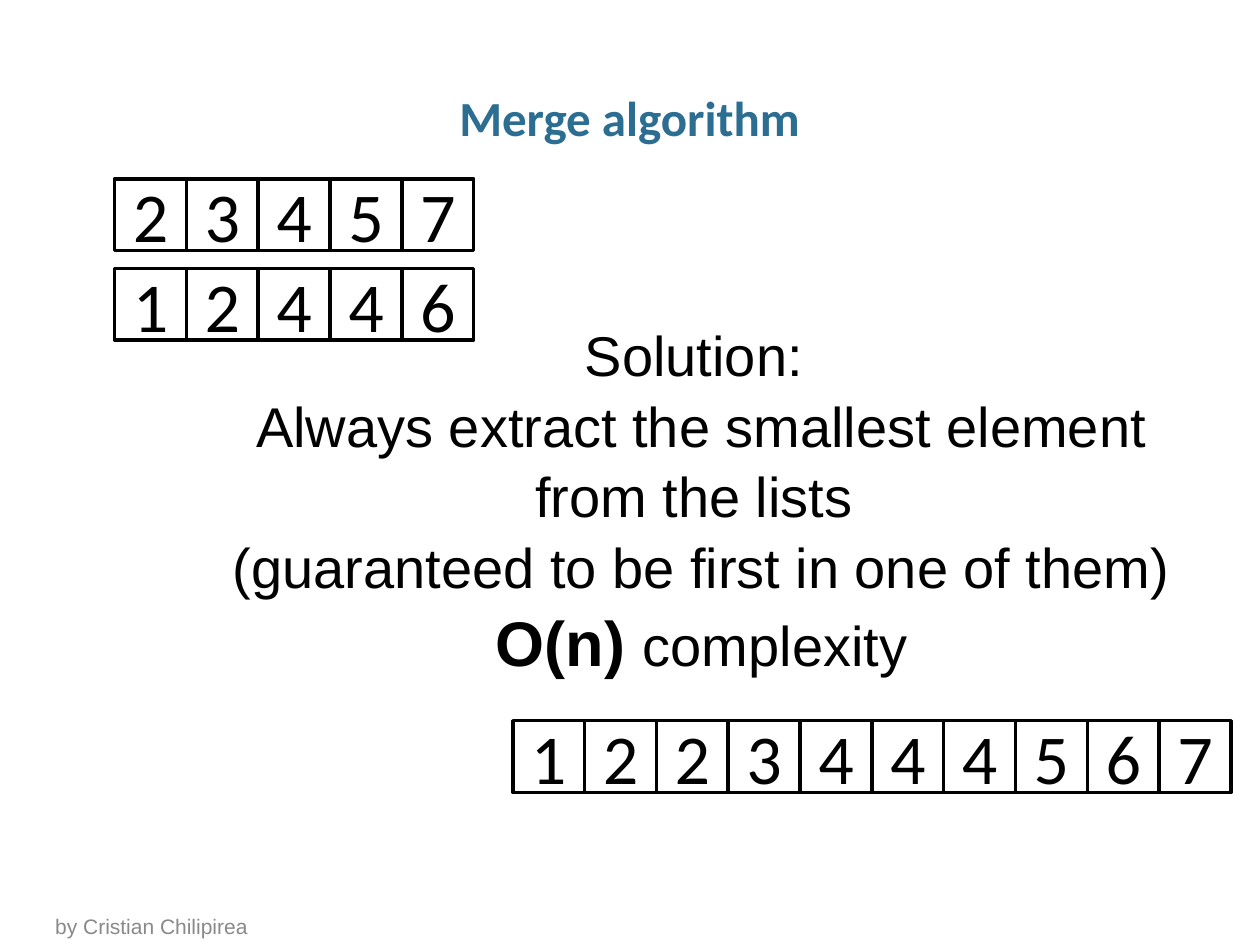
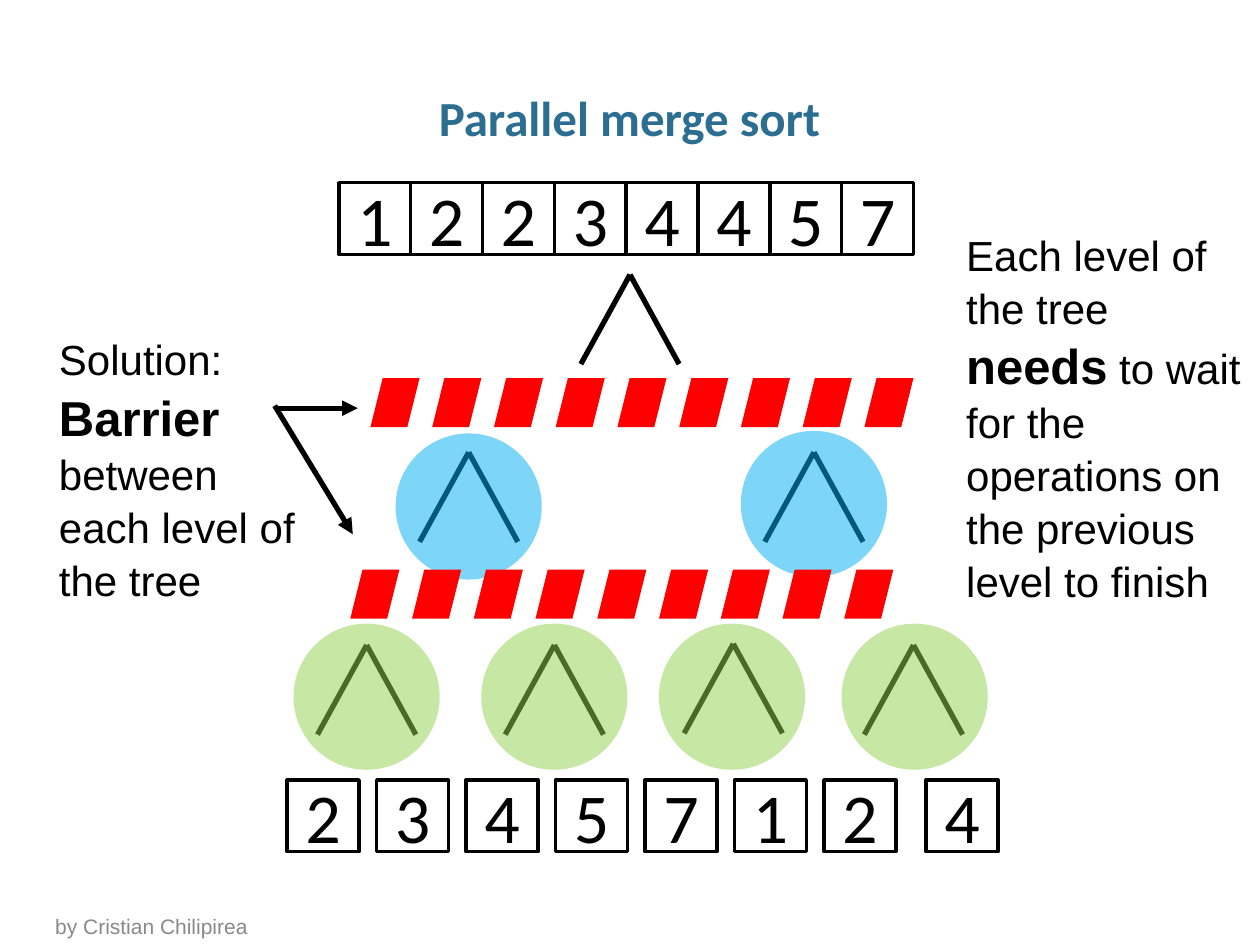
import dataclasses
import pptx
import pptx.util
import pptx.dml.color
import pptx.enum.shapes
import pptx.enum.text
import pptx.oxml.ns
import lxml.etree

Inches = pptx.util.Inches
Shape = pptx.enum.shapes.MSO_SHAPE
Anchor = pptx.enum.text.MSO_ANCHOR
Align = pptx.enum.text.PP_ALIGN


@dataclasses.dataclass(frozen=True)
class Theme:
    black: str = "000000"
    title: str = "2C6D92"
    footer: str = "898989"
    barrier: str = "FF0000"
    upper_level: str = "00B0F0"
    lower_level: str = "92D050"
    body_font: str = "Arial"
    heading_font: str = "Calibri"
    title_size: int = 28
    digit_size: int = 40
    body_size: int = 32
    body_strong_size: int = 36
    side_size: int = 24
    side_strong_size: int = 28
    footer_size: int = 12
    cell: float = 0.57
    circle: float = 1.16
    stripe: float = 0.39
    opacity: int = 51


class Deck:
    def __init__(self, theme):
        self.theme = theme
        self.presentation = pptx.Presentation()
        self.presentation.slide_width = Inches(10)
        self.presentation.slide_height = Inches(7.5)
        self.slide = None

    def color(self, value):
        return pptx.dml.color.RGBColor.from_string(value)

    def add_slide(self):
        self.slide = self.presentation.slides.add_slide(self.presentation.slide_layouts[6])

    def fill_text(self, frame, paragraphs, font, color, align=Align.LEFT, spacing=None,
                  **frame_format):
        for name, value in {"word_wrap": True, **frame_format}.items():
            setattr(frame, name, value)
        for index, runs in enumerate(paragraphs):
            paragraph = frame.paragraphs[0] if index == 0 else frame.add_paragraph()
            paragraph.alignment = align
            if spacing:
                paragraph.line_spacing = spacing
            for text, size, bold in runs:
                run = paragraph.add_run()
                run.text = text
                run.font.color.rgb = self.color(color)
                values = {"name": font, "size": pptx.util.Pt(size), "bold": bold}
                for name, value in values.items():
                    setattr(run.font, name, value)

    def text(self, box, paragraphs, font, color, **options):
        shape = self.slide.shapes.add_textbox(*map(Inches, box))
        self.fill_text(shape.text_frame, paragraphs, font, color, **options)

    def title(self, text):
        theme = self.theme
        self.text((0.34, 0.68, 9.31, 0.5), [[(text, theme.title_size, True)]],
                  theme.heading_font, theme.title, align=Align.CENTER, spacing=0.95,
                  margin_left=0, margin_right=0)

    def footer(self, text):
        theme = self.theme
        self.text((0.34, 7.22, 7.37, 0.28), [[(text, theme.footer_size, False)]],
                  theme.body_font, theme.footer, vertical_anchor=Anchor.BOTTOM)

    def body(self, box, paragraphs, align=Align.LEFT):
        self.text(box, paragraphs, self.theme.body_font, self.theme.black,
                  align=align, spacing=1.05)

    def shape(self, kind, left, top, size, fill=None, opacity=None):
        shape = self.slide.shapes.add_shape(kind, *map(Inches, (left, top, size, size)))
        shape.shadow.inherit = False
        shape.line.fill.background()
        if fill is None:
            shape.fill.background()
        else:
            shape.fill.solid()
            shape.fill.fore_color.rgb = self.color(fill)
        if opacity:
            color = next(shape._element.spPr.iter(pptx.oxml.ns.qn("a:srgbClr")))
            alpha = lxml.etree.SubElement(color, pptx.oxml.ns.qn("a:alpha"))
            alpha.set("val", str(opacity * 1000))
        return shape

    def cell(self, digit, left, top):
        theme = self.theme
        shape = self.shape(Shape.RECTANGLE, left, top, theme.cell)
        shape.line.color.rgb = self.color(theme.black)
        shape.line.width = pptx.util.Pt(2)
        self.fill_text(shape.text_frame, [[(digit, theme.digit_size, False)]],
                       theme.heading_font, theme.black, align=Align.CENTER,
                       vertical_anchor=Anchor.MIDDLE)

    def cells(self, digits, left, top, pitch=None):
        for index, digit in enumerate(digits):
            self.cell(digit, left + index * (pitch or self.theme.cell), top)

    def circle(self, left, top, fill):
        self.shape(Shape.OVAL, left, top, self.theme.circle, fill, self.theme.opacity)

    def barrier(self, left, top):
        for index in range(9):
            self.shape(Shape.PARALLELOGRAM, left + index * 0.49, top,
                       self.theme.stripe, self.theme.barrier)

    def line(self, start, end, arrow=False):
        connector = self.slide.shapes.add_connector(
            pptx.enum.shapes.MSO_CONNECTOR.STRAIGHT, *map(Inches, start + end))
        connector.line.color.rgb = self.color(self.theme.black)
        connector.line.width = pptx.util.Pt(3)
        properties = connector._element.spPr
        if arrow:
            line = properties.find(pptx.oxml.ns.qn("a:ln"))
            lxml.etree.SubElement(line, pptx.oxml.ns.qn("a:tailEnd")).set("type", "triangle")
        lxml.etree.SubElement(properties, pptx.oxml.ns.qn("a:effectLst"))

    def branch(self, center, top):
        for side in (-1, 1):
            self.line((center + side * 0.39, top + 0.71), (center, top))


AUTHOR = "by Cristian Chilipirea"
theme = Theme()
deck = Deck(theme)

deck.add_slide()
deck.body((1.67, 2.47, 7.8, 2.86), [
    [("Solution: ", theme.body_size, False)],
    [("Always extract the smallest element from the lists ", theme.body_size, False)],
    [("(guaranteed to be first in one of them)", theme.body_size, False)],
    [("O(n) ", theme.body_strong_size, True), ("complexity", theme.body_size, False)],
], Align.CENTER)
deck.cells("23457", 0.91, 1.42)
deck.cells("12446", 0.91, 2.13)
deck.cells("1223444567", 4.07, 5.72)
deck.title("Merge algorithm")
deck.footer(AUTHOR)

deck.add_slide()
for center, top in ((2.91, 5.12), (4.4, 5.12), (5.82, 5.11), (7.25, 5.12),
                    (3.72, 3.59), (6.46, 3.59), (5, 2.18)):
    deck.branch(center, top)
deck.cells("12234457", 2.69, 1.45)
deck.cells("2345712", 2.28, 6.19, pitch=0.71)
deck.cell("4", 7.35, 6.19)
for left in (2.33, 3.82, 5.23, 6.68):
    deck.circle(left, 4.95, theme.lower_level)
for left, top in ((3.14, 3.44), (5.88, 3.42)):
    deck.circle(left, top, theme.upper_level)
deck.barrier(2.78, 4.52)
deck.barrier(2.94, 3)
deck.body((0.37, 2.58, 2.47, 2.19), [
    [("Solution:", theme.side_size, False)],
    [("Barrier", theme.side_strong_size, True), (" between ", theme.side_size, False)],
    [("each level of the tree", theme.side_size, False)],
])
deck.line((2.18, 3.24), (2.84, 3.24), arrow=True)
deck.line((2.18, 3.22), (2.8, 4.24), arrow=True)
deck.body((7.57, 1.75, 2.47, 3), [[
    ("Each level of the tree ", theme.side_size, False),
    ("needs", theme.side_strong_size, True),
    (" to wait for the operations on the previous level to finish", theme.side_size, False),
]])
deck.title("Parallel merge sort")
deck.footer(AUTHOR)

deck.presentation.save("out.pptx")
